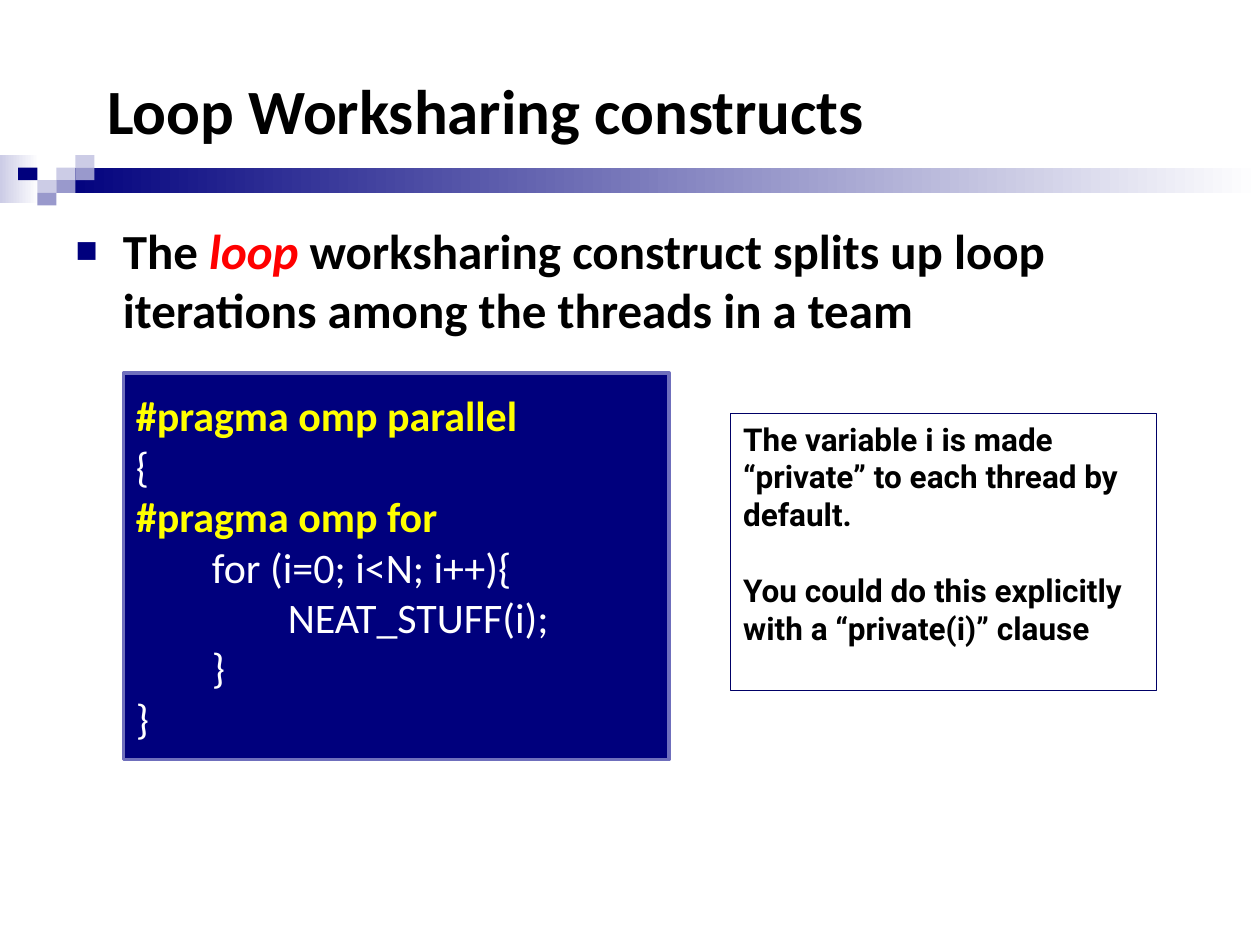
from pptx import Presentation
from pptx.dml.color import RGBColor as RGB
from pptx.enum.shapes import MSO_SHAPE as SHAPE
from pptx.enum.text import MSO_ANCHOR as ANCHOR, MSO_AUTO_SIZE as AUTO, PP_ALIGN as ALIGN
from pptx.oxml import parse_xml
from pptx.oxml.ns import nsdecls
from pptx.util import Pt

THEME = {
    "navy": "00007D", "mid": "9999CC", "pale": "CCCCE6", "white": "FFFFFF",
    "black": "000000", "red": "FF0000", "yellow": "FFFF00",
    "code_line": "6F6FBC", "note_line": "000066",
    "font": "Calibri", "note_font": "Roboto",
    "title": 36, "body": 28, "code": 24, "note": 18,
}


def add_rect(s, box, fill=None, line=None, width=0):
    """Add a rectangle; a pair of colours makes a left-to-right gradient."""
    sp = s.shapes.add_shape(SHAPE.RECTANGLE, *map(Pt, box))
    sp.shadow.inherit = False
    if isinstance(fill, tuple):
        sp.fill.gradient()
        sp.fill.gradient_angle = 0
        for stop, name in zip(sp.fill.gradient_stops, fill):
            stop.color.rgb = RGB.from_string(THEME[name])
    elif fill:
        sp.fill.solid()
        sp.fill.fore_color.rgb = RGB.from_string(THEME[fill])
    else:
        sp.fill.background()
    if line:
        sp.line.color.rgb = RGB.from_string(THEME[line])
        sp.line.width = Pt(width)
    else:
        sp.line.fill.background()
    return sp


def add_run(p, text, size, color="black", font="font", **formats):
    r = p.add_run()
    r.text = text
    r.font.color.rgb = RGB.from_string(THEME[color])
    formats = {"size": Pt(THEME[size]), "name": THEME[font], "bold": True, **formats}
    for name, value in formats.items():
        setattr(r.font, name, value)


prs = Presentation()
prs.slide_width, prs.slide_height = Pt(720), Pt(540)
s = prs.slides.add_slide(prs.slide_layouts[1])
title, body = s.placeholders

# Gradient bars and mosaic squares, behind the title
col, row, left, top = 10.9, 7.2, 10.4, 88.6
squares = [  # column, row, colour
    (2, 1, "pale"), (3, 0, "pale"), (3, 1, "mid"), (1, 2, "pale"),
    (0, 1, "navy"), (2, 2, "mid"), (1, 3, "mid"),
]
bars = [
    ((0, top, 22.3, 27.4), ("pale", "white")),
    ((32.4, top + row, 687.6, 14.4), ("navy", "white")),
]
mosaic = [((left + c * col, top + n * row, col, row), fill) for c, n, fill in squares]
for box, fill in bars + mosaic:
    title.element.addprevious(add_rect(s, box, fill).element)

# Title and body placeholders
places = [
    (title, (54, 30.2, 606, 64.1), ANCHOR.MIDDLE),
    (body, (36, 122.4, 648, 323.3), ANCHOR.TOP),
]
for sp, box, anchor in places:
    sp.left, sp.top, sp.width, sp.height = map(Pt, box)
    tf = sp.text_frame
    tf.auto_size, tf.vertical_anchor = AUTO.NONE, anchor
    tf.paragraphs[0].alignment = ALIGN.LEFT
add_run(title.text_frame.paragraphs[0], "Loop Worksharing constructs", "title")

# Bullet
p = body.text_frame.paragraphs[0]
p.space_before = Pt(0)
pPr = p._p.get_or_add_pPr()
pPr.set("marL", str(Pt(27)))
pPr.set("indent", str(-Pt(27)))
for xml in (
    f'<a:buClr {nsdecls("a")}><a:srgbClr val="{THEME["navy"]}"/></a:buClr>',
    f'<a:buSzPct {nsdecls("a")} val="75000"/>',
    f'<a:buChar {nsdecls("a")} char="■"/>',
):
    pPr.append(parse_xml(xml))
add_run(p, "The ", "body")
add_run(p, "loop", "body", "red", italic=True)
add_run(p, " worksharing construct splits up loop iterations among the threads in a team", "body")

# Code panel
code = """#pragma omp parallel
{
#pragma omp for
        for (i=0; i<N; i++){
                NEAT_STUFF(i);
        }
}""".split("\n")
tf = add_rect(s, (70.6, 213.1, 311.8, 221), "navy", "code_line", 2).text_frame
tf.word_wrap, tf.vertical_anchor = True, ANCHOR.MIDDLE
for i, text in enumerate(code):
    p = tf.add_paragraph() if i else tf.paragraphs[0]
    p.alignment = ALIGN.LEFT
    pragma = text.startswith("#")
    add_run(p, text, "code", "yellow" if pragma else "white", bold=pragma)

# Note
notes = [
    "The variable i is made “private” to each thread by default.",
    "You could do this explicitly with a “private(i)” clause",
]
tf = add_rect(s, (417.6, 236.2, 243.4, 158.4), None, "note_line", 0.75).text_frame
tf.word_wrap, tf.vertical_anchor = True, ANCHOR.TOP
for i, text in enumerate(notes):
    p = tf.add_paragraph() if i else tf.paragraphs[0]
    p.alignment = ALIGN.LEFT
    p.space_before = Pt(21.6 * i)
    add_run(p, text, "note", font="note_font")

prs.save("out.pptx")
